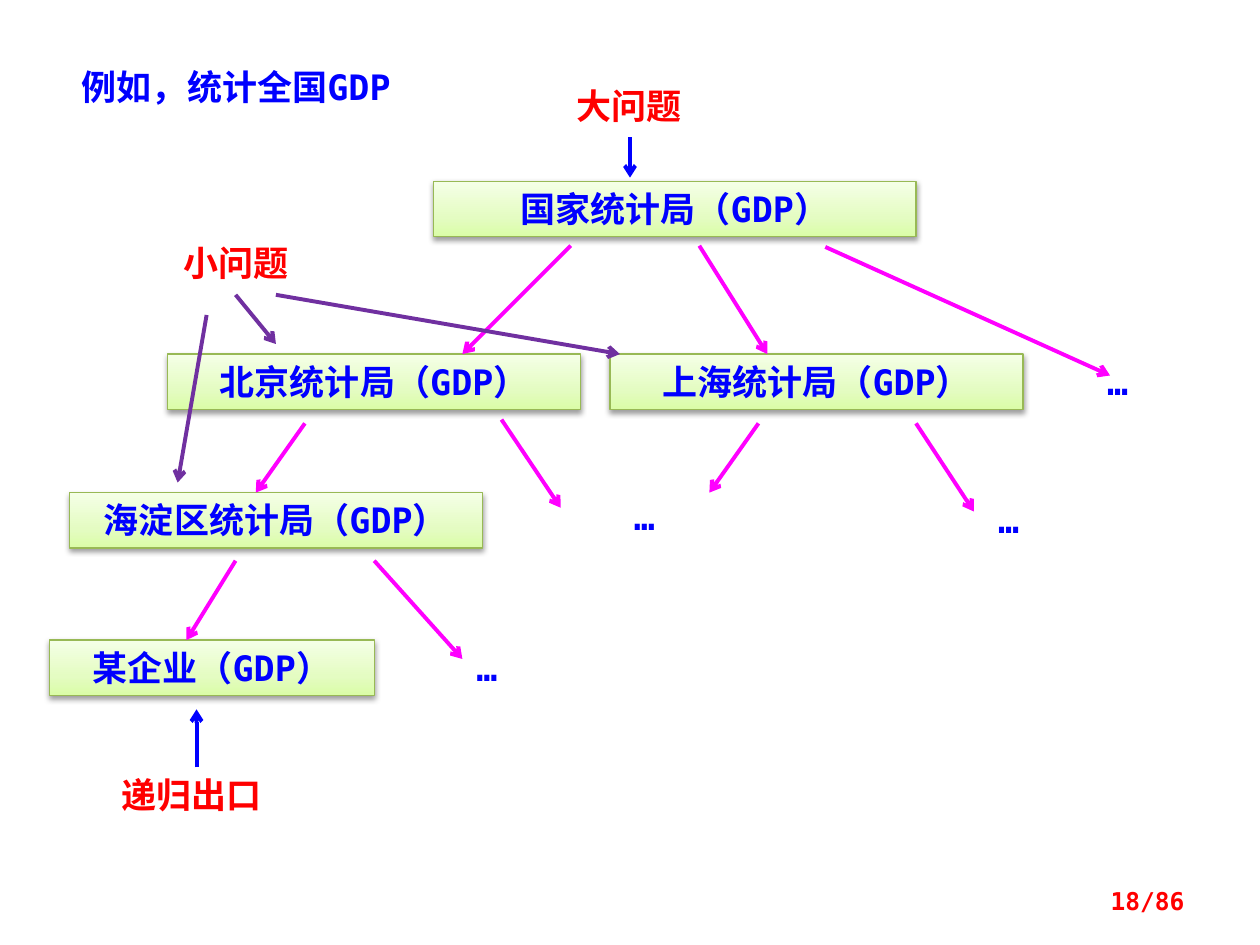
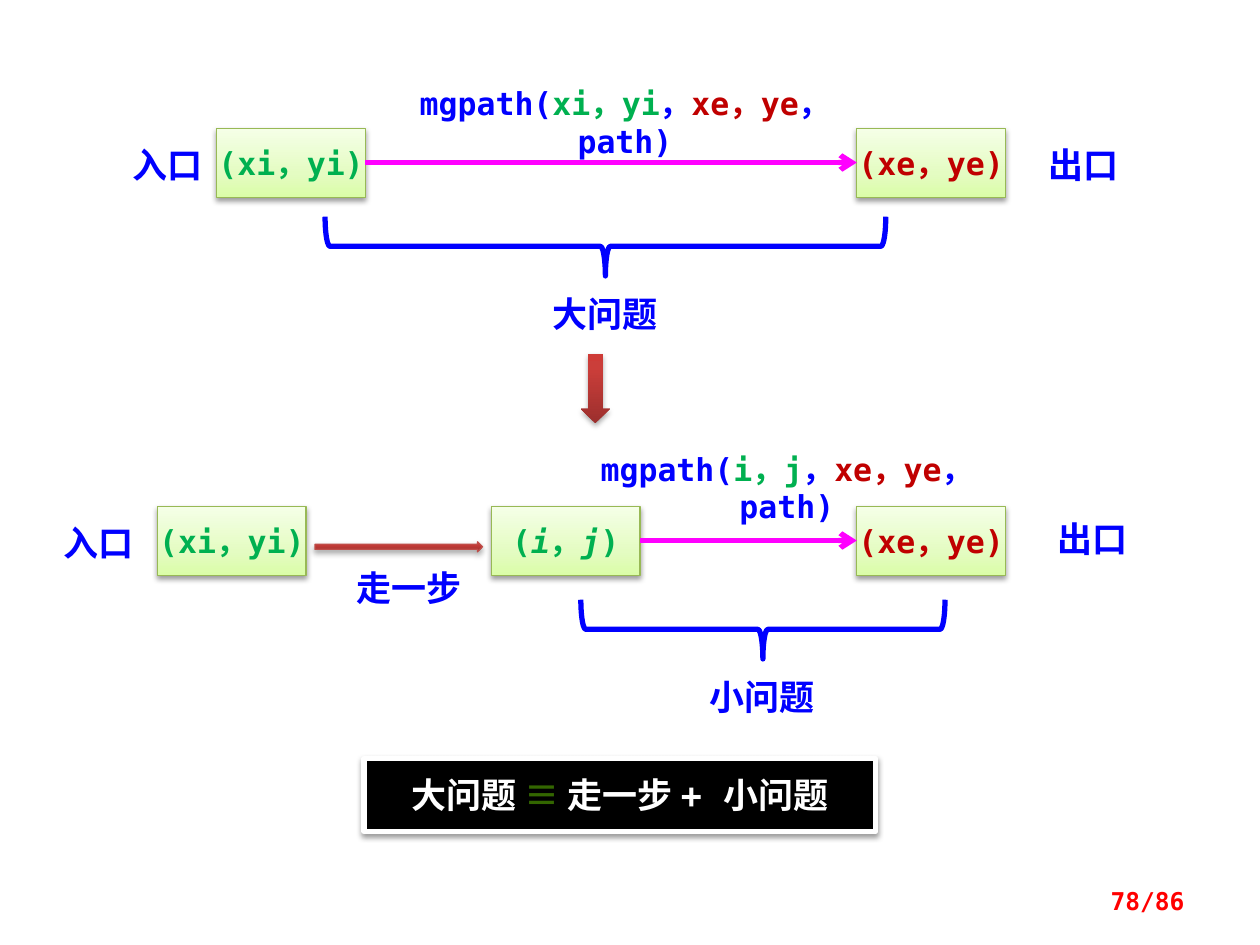
"""Build two slides that explain recursion as a big problem made of small ones."""
from lxml import etree
from pptx import Presentation
from pptx.dml.color import RGBColor
from pptx.enum.shapes import MSO_CONNECTOR, MSO_SHAPE
from pptx.enum.text import MSO_ANCHOR, MSO_AUTO_SIZE, PP_ALIGN
from pptx.oxml.ns import qn
from pptx.util import Pt

PX = 9144
MONO, CJK = "DejaVu Sans Mono", "Noto Sans CJK SC"
BLUE = RGBColor(0x00, 0x00, 0xFF)
RED = RGBColor(0xFF, 0x00, 0x00)
GREEN = RGBColor(0x00, 0xB0, 0x50)
DARK_RED = RGBColor(0xC0, 0x00, 0x00)
DARK_GREEN = RGBColor(0x33, 0x66, 0x00)
MAGENTA = RGBColor(0xFF, 0x00, 0xFF)
PURPLE = RGBColor(0x70, 0x30, 0xA0)
BLACK = RGBColor(0x00, 0x00, 0x00)
WHITE = RGBColor(0xFF, 0xFF, 0xFF)
BOX_EDGE = RGBColor(0x98, 0xB9, 0x55)
ARROW_EDGE = RGBColor(0xBF, 0x4C, 0x48)
BOX_STOPS = ((0, "DAFDA7"), (35, "E4FCC2"), (100, "F5FFE7"))
ARROW_STOPS = ((0, "9C2F2D"), (80, "CB3E3A"), (100, "CE3B37"))
BOX_SHADOW = (38, 40000, 20000)
ARROW_SHADOW = (35, 40000, 23000)

RECT, BRACE = MSO_SHAPE.RECTANGLE, MSO_SHAPE.LEFT_BRACE
RIGHT_ARROW, DOWN_ARROW = MSO_SHAPE.RIGHT_ARROW, MSO_SHAPE.DOWN_ARROW
STRAIGHT = MSO_CONNECTOR.STRAIGHT
TOP, MIDDLE = MSO_ANCHOR.TOP, MSO_ANCHOR.MIDDLE
LEFT, CENTER, RIGHT = PP_ALIGN.LEFT, PP_ALIGN.CENTER, PP_ALIGN.RIGHT
NO_AUTOFIT = MSO_AUTO_SIZE.NONE

LINE_H = 44
HEADING = "例如，统计全国GDP"
OFFICES = [
    ("国家统计局（GDP）", 344, 144, 383),
    ("北京统计局（GDP）", 133, 281, 328),
    ("上海统计局（GDP）", 484, 281, 328),
    ("海淀区统计局（GDP）", 55, 391, 328),
    ("某企业（GDP）", 39, 508, 258),
]
MORE = [(844, 281, 86), (453, 388, 117), (742, 391, 117), (328, 508, 117)]
ROLES = [
    ("大问题", 437, 62, 125),
    ("小问题", 125, 187, 125),
    ("递归出口", 70, 609, 164),
]
TREE_ARROWS = {
    MAGENTA: [
        (453, 195, 367, 281), (555, 195, 609, 281), (655, 196, 881, 298),
        (242, 336, 203, 391), (398, 333, 445, 403),
        (602, 336, 563, 391), (727, 336, 773, 406),
        (187, 445, 148, 508), (297, 445, 367, 523),
    ],
    BLUE: [(156, 609, 156, 563), (500, 109, 500, 141)],
    PURPLE: [(187, 234, 219, 273), (219, 234, 492, 281), (164, 250, 141, 383)],
}

CELL_W, CELL_H = 118, 55
ENTRY = [("(xi，yi)", GREEN)]
EXIT = [("(xe，ye)", DARK_RED)]
STEP = [("(", GREEN), ("i", GREEN, True), ("，", GREEN), ("j", GREEN, True), (")", GREEN)]
CELLS = [(ENTRY, 172, 102), (EXIT, 680, 102),
         (ENTRY, 125, 402), (STEP, 390, 402), (EXIT, 680, 402)]
PATH_ARROWS = [(290, 129, 680, 129), (508, 429, 680, 429)]
CALLS = [("xi，yi", 297, 62, 398), ("i，j", 445, 352, 359)]
BRACES = [(457, -27, 47, 445), (582, 355, 47, 289)]
CAPTIONS = [
    ("入口", 86, 109, 94, MONO), ("出口", 813, 109, 94, MONO),
    ("大问题", 406, 227, 148, MONO),
    ("入口", 31, 409, 94, MONO), ("出口", 820, 406, 94, MONO),
    ("走一步", 266, 445, 117, CJK), ("小问题", 531, 531, 148, MONO),
]
BLOCK_ARROWS = [(RIGHT_ARROW, 250, 430, 133, 8, ARROW_EDGE),
                (DOWN_ARROW, 461, 281, 23, 55, None)]
SUMMARY = [("大问题 ", WHITE), ("≡ ", DARK_GREEN), ("走一步 + 小问题", WHITE)]


def place(sp, *box):
    sp.left, sp.top, sp.width, sp.height = (v * PX for v in box)


def write(sp, runs, size=20, align=CENTER, anchor=TOP, font=MONO, wrap=True):
    tf = sp.text_frame
    tf.auto_size, tf.word_wrap, tf.vertical_anchor = NO_AUTOFIT, wrap, anchor
    p = tf.paragraphs[0]
    p.alignment = align
    p.font.name, p.font.size, p.font.bold = font, Pt(size), True
    one_color = len({run[1] for run in runs}) == 1
    if one_color:
        p.font.color.rgb = runs[0][1]
    for text, color, *italic in runs:
        r = p.add_run()
        r.text = text
        if not one_color:
            r.font.color.rgb = color
        if italic:
            r.font.italic = True


def add_text(s, runs, x, y, w, h=LINE_H, **style):
    write(s.shapes.add_textbox(x * PX, y * PX, w * PX, h * PX), runs, **style)


def sub(parent, tag, **attrs):
    return etree.SubElement(parent, qn(tag), {k: str(v) for k, v in attrs.items()})


def set_gradient(sp, stops):
    sp.fill.gradient()
    sp.fill.gradient_angle = 90
    gs_list = sp._element.spPr.find(".//" + qn("a:gsLst"))
    for gs in list(gs_list):
        gs_list.remove(gs)
    for pos, color in stops:
        sub(sub(gs_list, "a:gs", pos=pos * 1000), "a:srgbClr", val=color)


def set_shadow(sp, alpha, blur, dist):
    effects = sp._element.spPr.find(qn("a:effectLst"))
    shadow = sub(effects, "a:outerShdw", blurRad=blur, dist=dist,
                 dir=5400000, rotWithShape=0)
    sub(sub(shadow, "a:srgbClr", val="000000"), "a:alpha", val=alpha * 1000)


def add_shape(s, kind, x, y, w, h, edge=None, width=0.75, stops=None, shadow=None):
    sp = s.shapes.add_shape(kind, x * PX, y * PX, w * PX, h * PX)
    sp.shadow.inherit = False
    if stops:
        set_gradient(sp, stops)
    else:
        sp.fill.background()
    if edge is None:
        sp.line.fill.background()
    else:
        sp.line.color.rgb, sp.line.width = edge, Pt(width)
    if shadow:
        set_shadow(sp, *shadow)
    return sp


def add_box(s, x, y, w, h):
    return add_shape(s, RECT, x, y, w, h, BOX_EDGE, stops=BOX_STOPS, shadow=BOX_SHADOW)


def add_arrow(s, ends, color, width):
    line = s.shapes.add_connector(STRAIGHT, *(v * PX for v in ends))
    line.line.color.rgb, line.line.width = color, Pt(width)
    sub(line.line._get_or_add_ln(), "a:tailEnd", type="arrow")
    sub(line._element.spPr, "a:effectLst")


def add_page_number(s, number):
    add_text(s, [(f"{number}/86", RED)], 717, 695, 233, 40,
             size=14, align=RIGHT, anchor=MIDDLE)


def build_tree(prs):
    s = prs.slides.add_slide(prs.slide_layouts[5])
    title = s.shapes.title
    place(title, 55, 47, 352, LINE_H)
    write(title, [(HEADING, BLUE)], align=LEFT)
    for name, x, y, w in OFFICES:
        write(add_box(s, x, y, w, LINE_H), [(name, BLUE)])
    for x, y, w in MORE:
        add_text(s, [("…", BLUE)], x, y, w)
    for role, x, y, w in ROLES:
        add_text(s, [(role, RED)], x, y, w)
    for color, arrows in TREE_ARROWS.items():
        for ends in arrows:
            add_arrow(s, ends, color, 2.25)
    add_page_number(s, 18)


def build_maze(prs):
    s = prs.slides.add_slide(prs.slide_layouts[6])
    for runs, x, y in CELLS:
        write(add_box(s, x, y, CELL_W, CELL_H), runs, size=18, anchor=MIDDLE, wrap=False)
    for ends in PATH_ARROWS:
        add_arrow(s, ends, MAGENTA, 3)
    for start, x, y, w in CALLS:
        runs = [("mgpath(", BLUE), (start, GREEN), ("，", BLUE),
                ("xe，ye", DARK_RED), ("，path)", BLUE)]
        add_text(s, runs, x, y, w, 40, size=18)
    for box in BRACES:
        add_shape(s, BRACE, *box, edge=BLUE, width=3).rotation = 270
    for kind, x, y, w, h, edge in BLOCK_ARROWS:
        add_shape(s, kind, x, y, w, h, edge, stops=ARROW_STOPS, shadow=ARROW_SHADOW)
    for text, x, y, w, font in CAPTIONS:
        add_text(s, [(text, BLUE)], x, y, w, font=font)
    banner = add_shape(s, RECT, 289, 602, 406, 58, WHITE, 3, shadow=BOX_SHADOW)
    banner.fill.solid()
    banner.fill.fore_color.rgb = BLACK
    banner.text_frame.margin_top = banner.text_frame.margin_bottom = 12 * PX
    write(banner, SUMMARY)
    add_page_number(s, 78)


def main():
    prs = Presentation()
    prs.slide_width, prs.slide_height = 1000 * PX, 750 * PX
    build_tree(prs)
    build_maze(prs)
    prs.save("out.pptx")


if __name__ == "__main__":
    main()
